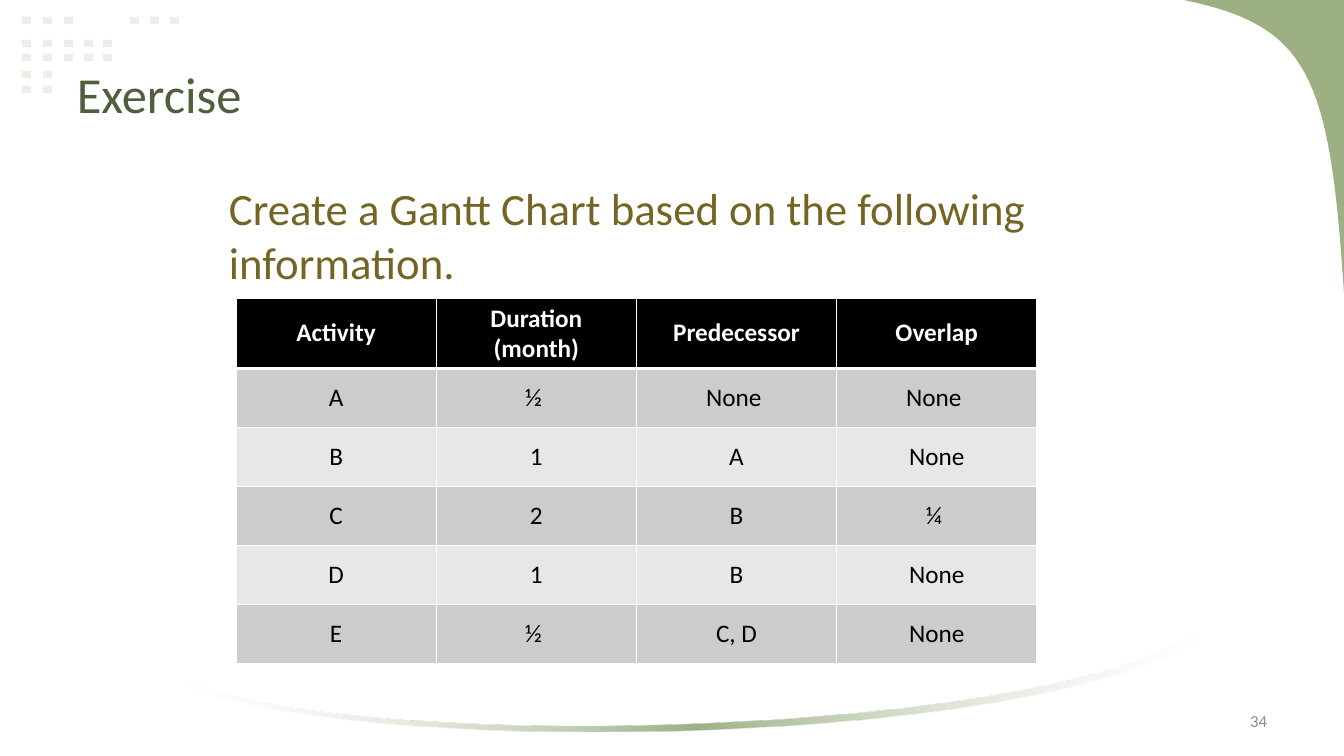
from lxml import etree
from pptx import Presentation
from pptx import util as u
from pptx.dml.color import RGBColor
from pptx.enum import shapes, text
from pptx.oxml.ns import qn

PIXEL = 914400 / 100.8
FONT = "Calibri"
WHITE = RGBColor(0xFF, 0xFF, 0xFF)
BLACK = RGBColor(0x00, 0x00, 0x00)
SAGE = RGBColor(0x9C, 0xB0, 0x84)
PALE_SAGE = RGBColor(0xEB, 0xEF, 0xE6)
DARK_GREEN = RGBColor(0x4F, 0x5E, 0x3C)
OLIVE = RGBColor(0x75, 0x65, 0x25)
GRAY = RGBColor(0x8C, 0x8C, 0x8C)
DARK_BAND = RGBColor(0xCC, 0xCC, 0xCC)
LIGHT_BAND = RGBColor(0xE7, 0xE7, 0xE7)


def px(*lengths):
    """Turn pixel lengths into a list of EMU lengths."""
    return [u.Emu(round(length * PIXEL)) for length in lengths]


def curve(start, control_1, control_2, end, steps=32):
    """Return points in EMU along a cubic Bezier given in pixels."""
    points = []
    for step in range(steps + 1):
        t = step / steps
        weights = ((1 - t) ** 3, 3 * t * (1 - t) ** 2, 3 * t * t * (1 - t), t ** 3)
        corners = (start, control_1, control_2, end)
        points.append(px(*(sum(w * c[axis] for w, c in zip(weights, corners))
                           for axis in (0, 1))))
    return points


presentation = Presentation()
presentation.slide_width, presentation.slide_height = px(1344, 756)
slide = presentation.slides.add_slide(presentation.slide_layouts[6])

# Dots in the top left corner
DOT_COLUMNS = (22, 43, 64, 84, 103)
dot_rows = {
    17: (22, 43, 64, 130, 150, 170),
    40: DOT_COLUMNS,
    54: DOT_COLUMNS,
    71: DOT_COLUMNS[:2],
    86: DOT_COLUMNS[:2],
}
for top, lefts in dot_rows.items():
    for left in lefts:
        dot = slide.shapes.add_shape(shapes.MSO_SHAPE.RECTANGLE, *px(left, top, 9, 7))
        dot.shadow.inherit = False
        dot.fill.solid()
        dot.fill.fore_color.rgb = PALE_SAGE
        dot.line.fill.background()

# Green corner and bottom swoosh
corner_outline = [px(1184, 0), px(1344, 0)] + curve(
    (1344, 293), (1330, 73), (1308, 26), (1184, 0))
swoosh_outline = (
    curve((1199, 637), (1056, 743), (381, 759), (191, 687))
    + curve((191, 684), (388, 754), (1062, 733), (1199, 630)))
decorations = []
for outline in (corner_outline, swoosh_outline):
    builder = slide.shapes.build_freeform(*outline[0])
    builder.add_line_segments(outline[1:], close=True)
    decoration = builder.convert_to_shape()
    decoration.shadow.inherit = False
    decoration.line.fill.background()
    decorations.append(decoration)
corner, swoosh = decorations
corner.fill.solid()
corner.fill.fore_color.rgb = SAGE

swoosh.fill.gradient()
swoosh.fill.gradient_angle = 0
stops = swoosh.element.spPr.find(".//" + qn("a:gsLst"))
for stop in list(stops):
    stops.remove(stop)
for position, color, opacity in ((0, WHITE, 30), (50, SAGE, 100), (100, WHITE, 30)):
    stop = etree.SubElement(stops, qn("a:gs"), pos=str(position * 1000))
    stop_color = etree.SubElement(stop, qn("a:srgbClr"), val=str(color))
    etree.SubElement(stop_color, qn("a:alpha"), val=str(opacity * 1000))

# Title, instruction and slide number
LEFT, RIGHT = text.PP_ALIGN.LEFT, text.PP_ALIGN.RIGHT
TOP, MIDDLE = text.MSO_ANCHOR.TOP, text.MSO_ANCHOR.MIDDLE
text_boxes = (
    ("Exercise", (67, 30, 1210, 126), 36, DARK_GREEN, LEFT, MIDDLE, 0),
    ("Create a Gantt Chart based on the following information.",
     (219, 176, 907, 122), 32, OLIVE, LEFT, TOP, 2),
    ("34", (964, 701, 313, 40), 12, GRAY, RIGHT, MIDDLE, 0),
)
for words, box, size, color, alignment, anchor, space_before in text_boxes:
    frame = slide.shapes.add_textbox(*px(*box)).text_frame
    frame.word_wrap = True
    frame.vertical_anchor = anchor
    paragraph = frame.paragraphs[0]
    paragraph.text = words
    paragraph.alignment = alignment
    paragraph.space_before = u.Pt(space_before)
    paragraph.font.name = FONT
    paragraph.font.size = u.Pt(size)
    paragraph.font.color.rgb = color

# Activity table
activities = (
    ("Activity", "Duration (month)", "Predecessor", "Overlap"),
    ("A", "½ ", "None ", "None "),
    ("B", "1", "A", "None"),
    ("C", "2", "B", "¼ "),
    ("D", "1", "B", "None"),
    ("E", "½ ", "C, D", "None"),
)
ROW_HEIGHT = 59
table = slide.shapes.add_table(
    len(activities), len(activities[0]),
    *px(236, 298, 801, ROW_HEIGHT * len(activities))).table
for row_index, activity in enumerate(activities):
    is_header = row_index == 0
    band = BLACK if is_header else DARK_BAND if row_index % 2 else LIGHT_BAND
    border_widths = {"L": 1, "R": 1, "T": 3 if row_index == 1 else 1,
                     "B": 3 if is_header else 1}
    for column_index, words in enumerate(activity):
        cell = table.cell(row_index, column_index)
        properties = cell._tc.get_or_add_tcPr()
        for side, width in border_widths.items():
            border = etree.SubElement(properties, qn("a:ln" + side), w=str(u.Pt(width)))
            border_fill = etree.SubElement(border, qn("a:solidFill"))
            etree.SubElement(border_fill, qn("a:srgbClr"), val=str(WHITE))
        cell.fill.solid()
        cell.fill.fore_color.rgb = band
        cell.vertical_anchor = MIDDLE
        paragraph = cell.text_frame.paragraphs[0]
        paragraph.text = words
        paragraph.alignment = text.PP_ALIGN.CENTER
        paragraph.font.name = FONT
        paragraph.font.size = u.Pt(18)
        paragraph.font.bold = is_header
        paragraph.font.color.rgb = WHITE if is_header else BLACK

presentation.save("out.pptx")
